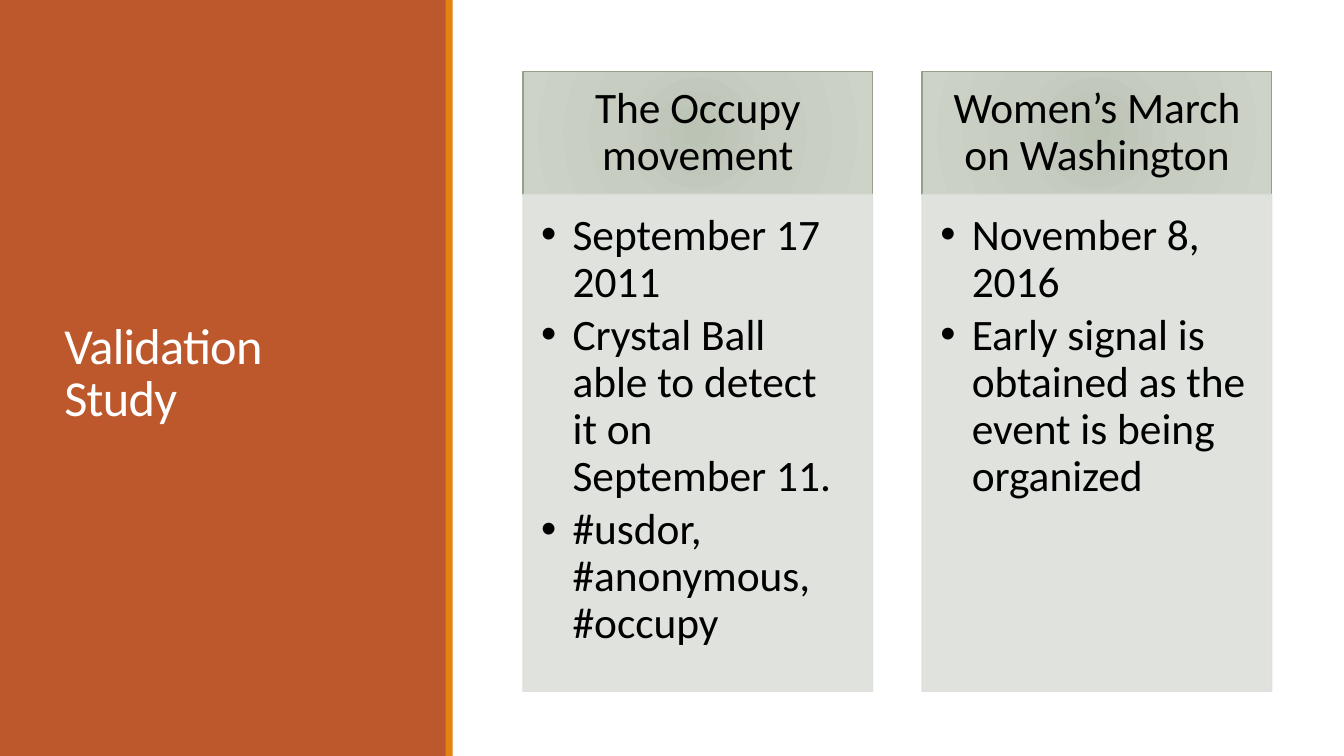
from lxml.etree import SubElement
from pptx import Presentation
from pptx.dml.color import RGBColor
from pptx.enum.shapes import MSO_SHAPE as Shape
from pptx.enum.text import MSO_ANCHOR as Anchor, MSO_AUTO_SIZE as AutoSize, PP_ALIGN as Align
from pptx.oxml import parse_xml
from pptx.oxml.ns import nsdecls, qn
from pptx.util import Cm, Pt

# Content
TITLE = "Validation Study"
COLUMNS = [
    ("The Occupy movement", [
        "September 17 2011",
        "Crystal Ball able to detect it on September 11.",
        "#usdor, #anonymous, #occupy",
    ]),
    ("Women’s March on Washington", [
        "November 8, 2016",
        "Early signal is obtained as the event is being organized",
    ]),
]

# Look and layout (cm)
FONT = "Calibri"
RUST, ORANGE, WHITE, BLACK = "BD582C", "E48312", "FFFFFF", "000000"
SAGE, PALE = "94A088", "DCDFDA"
HEADER_STOPS = [(0, "BBC3B5"), (45, "C7CDC1"), (100, "CDD4C7")]
PANEL_W, BAR_X, BAR_W = 11.25, 11.23, 0.18
COL_X, COL_W, COL_PITCH = 13.18, 8.81, 10.06
HEAD_Y, HEAD_H, BODY_H = 1.8, 3.1, 12.52
HEAD_INSETS = (0.61, 0.36, 0.61, 0.36)
BODY_INSETS = (0.46, 0.46, 0.61, 0.69)
INDENT = 0.79


def color(value):
    return RGBColor.from_string(value)


def add_rect(x, y, w, h, fill=None, line=None):
    sp = slide.shapes.add_shape(Shape.RECTANGLE, Cm(x), Cm(y), Cm(w), Cm(h))
    sp.shadow.inherit = False
    if fill:
        sp.fill.solid()
        sp.fill.fore_color.rgb = color(fill)
    if line:
        sp.line.color.rgb = color(line)
        sp.line.width = Pt(1)
    else:
        sp.line.fill.background()
    return sp


def set_radial_fill(sp, stops):
    gs = "".join(f'<a:gs pos="{pos * 1000}"><a:srgbClr val="{c}"/></a:gs>' for pos, c in stops)
    grad = parse_xml(
        f'<a:gradFill {nsdecls("a")} rotWithShape="1"><a:gsLst>{gs}</a:gsLst>'
        '<a:path path="circle"><a:fillToRect l="50000" t="50000" r="50000" b="50000"/>'
        '</a:path></a:gradFill>')
    sp._element.spPr.find(qn("a:prstGeom")).addnext(grad)


def set_opacity(sp, percent):
    for clr in sp._element.spPr.iter(qn("a:srgbClr")):
        SubElement(clr, qn("a:alpha")).set("val", str(percent * 1000))


def set_frame(tf, insets, anchor):
    tf.word_wrap = True
    tf.margin_left, tf.margin_top, tf.margin_right, tf.margin_bottom = map(Cm, insets)
    tf.vertical_anchor = anchor


def add_text(p, text, size, rgb, align, spacing):
    p.alignment = align
    p.line_spacing = spacing
    r = p.add_run()
    r.text = text
    r.font.name = FONT
    r.font.size = Pt(size)
    r.font.color.rgb = color(rgb)
    return r


def add_bullet(p):
    pPr = p._p.get_or_add_pPr()
    pPr.set("marL", str(Cm(INDENT)))
    pPr.set("indent", str(-Cm(INDENT)))
    SubElement(pPr, qn("a:buFont")).set("typeface", "Arial")
    SubElement(pPr, qn("a:buChar")).set("char", "•")


prs = Presentation()
prs.slide_width, prs.slide_height = Cm(33.87), Cm(19.05)
slide = prs.slides.add_slide(prs.slide_layouts[5])

# Side panel with accent bar
add_rect(0, 0, PANEL_W, 19.05, RUST)
add_rect(BAR_X, 0, BAR_W, 19.05, ORANGE)

# Title, brought in front of the panel
title = slide.shapes.title
slide.shapes._spTree.append(title._element)
title.left, title.top, title.width, title.height = Cm(1.37), Cm(1.45), Cm(8.56), Cm(16)
tf = title.text_frame
set_frame(tf, (0.25, 0.13, 0.25, 0.13), Anchor.MIDDLE)
tf.auto_size = AutoSize.NONE
r = add_text(tf.paragraphs[0], TITLE, 36, WHITE, Align.LEFT, 0.85)
r._r.get_or_add_rPr().set("spc", "-50")

# Event columns: header above a bulleted body
for i, (heading, points) in enumerate(COLUMNS):
    x = COL_X + i * COL_PITCH
    header = add_rect(x, HEAD_Y, COL_W, HEAD_H, line=SAGE)
    set_radial_fill(header, HEADER_STOPS)
    tf = header.text_frame
    set_frame(tf, HEAD_INSETS, Anchor.MIDDLE)
    add_text(tf.paragraphs[0], heading, 31, BLACK, Align.CENTER, 0.9)

    body = add_rect(x, HEAD_Y + HEAD_H, COL_W, BODY_H, PALE, PALE)
    set_opacity(body, 90)
    tf = body.text_frame
    set_frame(tf, BODY_INSETS, Anchor.TOP)
    for n, point in enumerate(points):
        p = tf.add_paragraph() if n else tf.paragraphs[0]
        add_bullet(p)
        add_text(p, point, 31, BLACK, Align.LEFT, 0.9)
        p.space_after = Pt(4.65)

prs.save("out.pptx")
